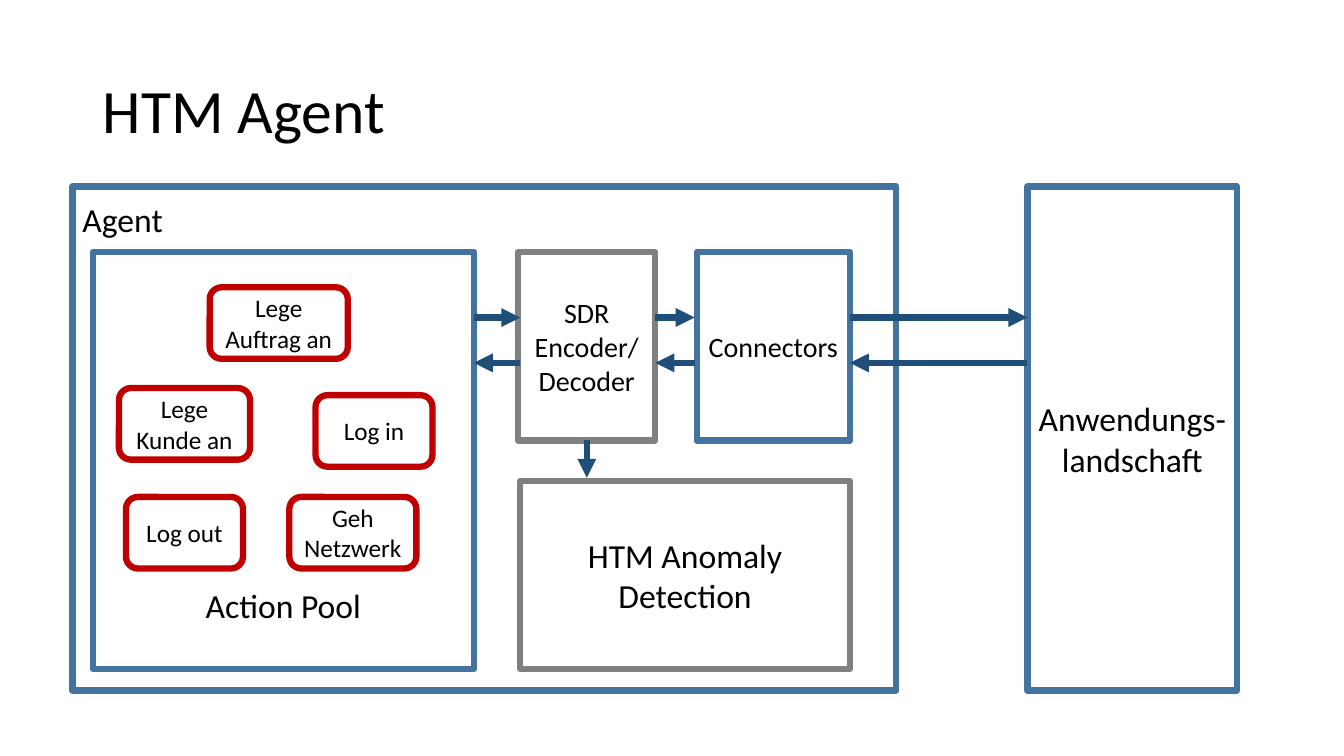
from dataclasses import dataclass

from lxml.etree import SubElement
from pptx import Presentation
from pptx.dml.color import RGBColor
from pptx.enum.shapes import MSO_CONNECTOR as Connector, MSO_SHAPE as Shape
from pptx.enum.text import MSO_ANCHOR as Anchor, PP_ALIGN as Align
from pptx.oxml.ns import qn
from pptx.util import Emu, Pt

EMU_PER_PX = 9144  # 100 px to the inch


@dataclass(frozen=True)
class Theme:
    font: str = "Calibri"
    text: str = "000000"
    blue: str = "43739E"
    gray: str = "808080"
    red: str = "C00000"
    arrow: str = "1F4E79"
    title_size: int = 44
    large: int = 24
    medium: int = 20
    small: int = 18
    line_width: float = 4.5


THEME = Theme()


def px(length):
    return Emu(length * EMU_PER_PX)


def rgb(value):
    return RGBColor.from_string(value)


def set_all(target, values):
    for name, value in values.items():
        setattr(target, name, value)


def write(frame, text, size, align=Align.CENTER, spacing=1.0, **frame_format):
    set_all(frame, {"word_wrap": True, "vertical_anchor": Anchor.MIDDLE} | frame_format)
    for index, line in enumerate(text.split("\n")):
        para = frame.add_paragraph() if index else frame.paragraphs[0]
        set_all(para, {"alignment": align, "line_spacing": spacing})
        span = para.add_run()
        span.text = line
        set_all(span.font, {"name": THEME.font, "size": Pt(size)})
        span.font.color.rgb = rgb(THEME.text)


def add_title(page, text):
    box = page.shapes.add_textbox(px(92), px(40), px(1150), px(145))
    write(box.text_frame, text, THEME.title_size, Align.LEFT, 0.9)


def add_box(page, bounds, color, text, size, kind=Shape.RECTANGLE, **text_format):
    box = page.shapes.add_shape(kind, *map(px, bounds))
    box.shadow.inherit = False
    box.fill.background()
    box.line.color.rgb = rgb(color)
    box.line.width = Pt(THEME.line_width)
    write(box.text_frame, text, size, **text_format)


def add_action(page, left, top, width, text):
    add_box(page, (left, top, width, 71), THEME.red, text, THEME.small,
            Shape.ROUNDED_RECTANGLE)


def add_arrow(page, start, end):
    arrow = page.shapes.add_connector(Connector.STRAIGHT, *map(px, start + end))
    arrow.line.color.rgb = rgb(THEME.arrow)
    arrow.line.width = Pt(THEME.line_width)
    SubElement(arrow.line._get_or_add_ln(), qn("a:tailEnd"), type="triangle")
    SubElement(arrow._element.spPr, qn("a:effectLst"))


def add_exchange(page, left, right):
    """Draw the pair of arrows that run out and back between two boxes."""
    out_y, back_y = 315, 360
    add_arrow(page, (left, out_y), (right, out_y))
    add_arrow(page, (right, back_y), (left, back_y))


def main():
    deck = Presentation()
    set_all(deck, {"slide_width": px(1333), "slide_height": px(750)})
    page = deck.slides.add_slide(deck.slide_layouts[6])

    add_title(page, "HTM Agent")
    add_box(page, (92, 250, 378, 414), THEME.blue, "Action Pool", THEME.large,
            vertical_anchor=Anchor.BOTTOM, margin_bottom=px(44))
    add_box(page, (1019, 185, 208, 500), THEME.blue, "Anwendungs- landschaft",
            THEME.large)
    add_box(page, (72, 185, 817, 500), THEME.blue, "Agent", THEME.large,
            align=Align.LEFT, vertical_anchor=Anchor.TOP, margin_top=px(12))

    for action in (
        (313, 392, 116, "Log in"),
        (118, 385, 130, "Lege Kunde an"),
        (208, 285, 137, "Lege Auftrag an"),
        (287, 493, 126, "Geh Netzwerk"),
        (125, 493, 116, "Log out"),
    ):
        add_action(page, *action)

    add_box(page, (691, 250, 152, 187), THEME.blue, "Connectors", THEME.medium)
    add_box(page, (516, 477, 327, 187), THEME.gray, "HTM Anomaly Detection",
            THEME.large)
    add_box(page, (514, 250, 136, 187), THEME.gray, "SDR\nEncoder/Decoder",
            THEME.medium)

    for left, right in ((470, 516), (650, 689), (843, 1019)):
        add_exchange(page, left, right)
    add_arrow(page, (582, 437), (582, 474))

    deck.save("out.pptx")


if __name__ == "__main__":
    main()
